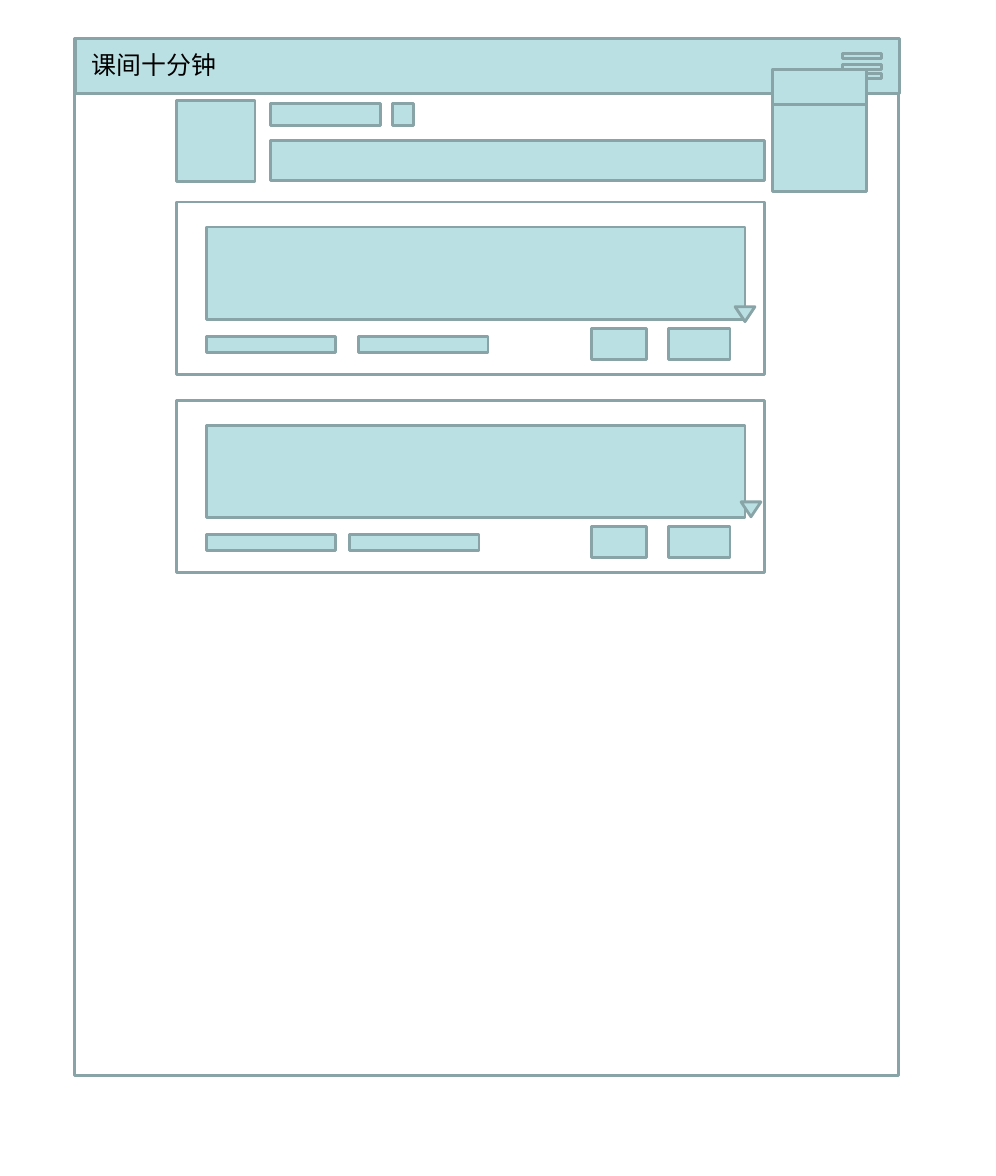
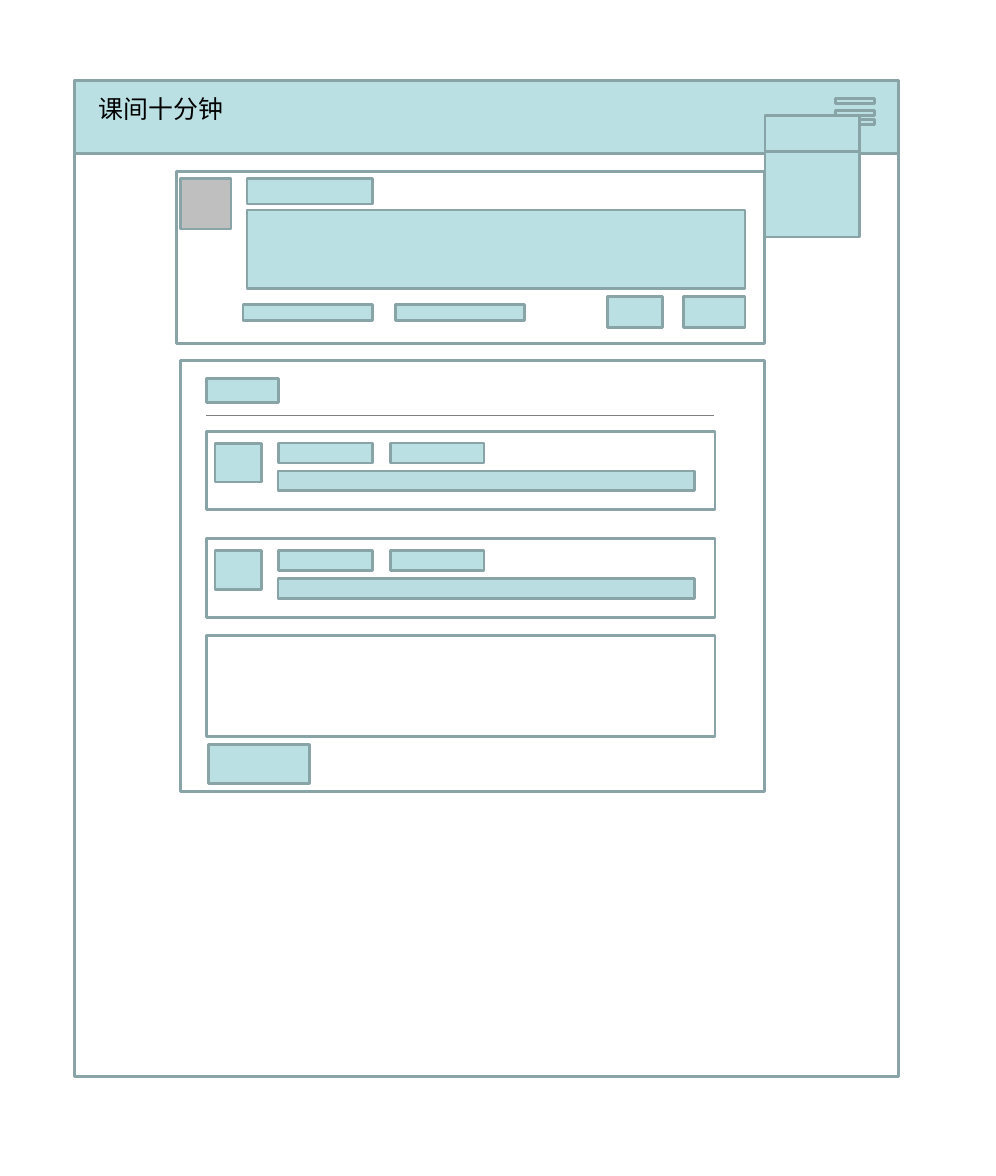
"""Build two wireframe slides: a profile page with posts and a post page with comments."""
from lxml import etree
from pptx import Presentation
from pptx.dml.color import RGBColor
from pptx.enum.shapes import MSO_CONNECTOR, MSO_SHAPE
from pptx.enum.text import MSO_AUTO_SIZE
from pptx.oxml.ns import qn
from pptx.util import Pt

PX = 9144
RECTANGLE = MSO_SHAPE.RECTANGLE
TRIANGLE = MSO_SHAPE.ISOSCELES_TRIANGLE
STRAIGHT = MSO_CONNECTOR.STRAIGHT
FIT_SHAPE = MSO_AUTO_SIZE.SHAPE_TO_FIT_TEXT
WHITE = RGBColor(0xFF, 0xFF, 0xFF)
BLACK = RGBColor(0x00, 0x00, 0x00)
AQUA = RGBColor(0xBB, 0xE0, 0xE3)
DEEP_AQUA = RGBColor(0xBA, 0xDD, 0xE1)
OUTLINE = RGBColor(0x89, 0xA4, 0xA7)
AVATAR_GRAY = RGBColor(0xBF, 0xBF, 0xBF)
RULE_GRAY = RGBColor(0x7F, 0x7F, 0x7F)
FONT = "Noto Sans CJK SC"
SITE_TITLE = "课间十分钟"
CARD_LEFT, CARD_WIDTH, CARD_HEIGHT = 177, 591, 173
COMMENT_LEFT, COMMENT_WIDTH = 207, 511


class Wireframe:
    """Draws wireframe elements in one shared style on the current slide."""

    def __init__(self, presentation):
        """Keep the presentation that receives the slides."""
        self.presentation = presentation
        self.slide = None
        self.shapes = None

    def new_slide(self):
        """Start a blank slide."""
        self.slide = self.presentation.slides.add_slide(self.presentation.slide_layouts[6])
        self.ungroup()

    def group(self):
        """Send the next shapes into a new group."""
        self.shapes = self.slide.shapes.add_group_shape().shapes

    def ungroup(self):
        """Send the next shapes straight to the slide."""
        self.shapes = self.slide.shapes

    def box(self, left, top, width, height, fill=AQUA, kind=RECTANGLE):
        """Add an outlined shape."""
        shape = self.shapes.add_shape(kind, left * PX, top * PX, width * PX, height * PX)
        shape.shadow.inherit = False
        shape.fill.solid()
        shape.fill.fore_color.rgb = fill
        shape.line.color.rgb = OUTLINE
        shape.line.width = Pt(2)
        return shape

    def marker(self, left, top):
        """Add a triangle that points down."""
        self.box(left, top, 20, 15, kind=TRIANGLE).rotation = 180

    def rule(self, left, right, top):
        """Add a thin horizontal line."""
        connector = self.shapes.add_connector(STRAIGHT, left * PX, top * PX, right * PX, top * PX)
        connector.line.color.rgb = RULE_GRAY
        connector.line.width = Pt(0.75)
        etree.SubElement(connector._element.spPr, qn("a:effectLst"))

    def title(self, left, top):
        """Add the site title."""
        frame = self.shapes.add_textbox(left * PX, top * PX, 220 * PX, 40 * PX).text_frame
        frame.word_wrap = True
        frame.auto_size = FIT_SHAPE
        run = frame.paragraphs[0].add_run()
        run.text = SITE_TITLE
        run.font.size = Pt(18)
        run.font.color.rgb = BLACK
        run.font.name = FONT
        etree.SubElement(run._r.get_or_add_rPr(), qn("a:ea"), typeface=FONT)

    def menu(self, left, bar_tops, panel_left, panel_top, panel_width, head_height):
        """Add the menu icon and its open panel."""
        self.group()
        for top in bar_tops:
            self.box(left, top, 39, 5)
        self.group()
        for height in (122, head_height):
            self.box(panel_left, panel_top, panel_width, height)
        self.ungroup()

    def actions(self, top, bar_lefts, button_lefts):
        """Add two info bars and two buttons, given the top of the buttons."""
        for left in bar_lefts:
            self.box(left, top + 8, 130, 16)
        for left, width in zip(button_lefts, (55, 62)):
            self.box(left, top, width, 31)

    def post_card(self, top, second_bar_left):
        """Add a post preview with its actions."""
        self.group()
        self.box(CARD_LEFT, top, CARD_WIDTH, CARD_HEIGHT, WHITE)
        self.box(207, top + 25, 541, 93)
        self.actions(top + 127, (207, second_bar_left), (594, 671))
        self.ungroup()

    def post_detail(self, top):
        """Add the full post with avatar, name, body and actions."""
        self.group()
        self.box(CARD_LEFT, top, CARD_WIDTH, CARD_HEIGHT, WHITE)
        self.box(181, top + 7, 51, 51, AVATAR_GRAY)
        self.box(248, top + 7, 126, 26)
        self.box(248, top + 39, 500, 79)
        self.actions(top + 126, (244, 397), (610, 686))
        self.ungroup()

    def comment(self, top):
        """Add a comment with avatar, name, date and text."""
        self.group()
        self.box(COMMENT_LEFT, top, COMMENT_WIDTH, 79, WHITE)
        self.box(216, top + 12, 47, 39)
        for left in (280, 392):
            self.box(left, top + 12, 94, 20)
        self.box(279, top + 40, 418, 20, DEEP_AQUA)
        self.ungroup()


def profile_page(wireframe):
    """Draw the profile page."""
    wireframe.new_slide()
    wireframe.box(75, 39, 827, 1041, WHITE)
    wireframe.box(177, 101, 79, 81)
    for top, second_bar_left in ((203, 360), (402, 351)):
        wireframe.post_card(top, second_bar_left)
    wireframe.marker(744, 504)
    wireframe.marker(738, 308)
    wireframe.box(272, 104, 110, 22)
    wireframe.box(272, 141, 496, 40)
    wireframe.box(394, 104, 21, 22)
    wireframe.box(76, 39, 827, 55)
    wireframe.menu(846, (54, 65, 74), 776, 70, 94, 35)
    wireframe.title(82, 45)


def post_page(wireframe):
    """Draw the post page."""
    wireframe.new_slide()
    wireframe.box(75, 81, 827, 1000, WHITE)
    wireframe.box(75, 81, 827, 73)
    wireframe.menu(839, (99, 111, 120), 768, 116, 95, 36)
    wireframe.post_detail(172)
    wireframe.box(181, 362, 587, 433, WHITE)
    wireframe.box(207, 380, 73, 24)
    wireframe.rule(207, 717, 417)
    for top in (433, 541):
        wireframe.comment(top)
    wireframe.box(COMMENT_LEFT, 638, COMMENT_WIDTH, 102, WHITE)
    wireframe.box(209, 748, 102, 39)
    wireframe.title(89, 89)


def main():
    """Build and save the presentation."""
    presentation = Presentation()
    presentation.slide_width = 1000 * PX
    presentation.slide_height = 1181 * PX
    wireframe = Wireframe(presentation)
    profile_page(wireframe)
    post_page(wireframe)
    presentation.save("out.pptx")


if __name__ == "__main__":
    main()
